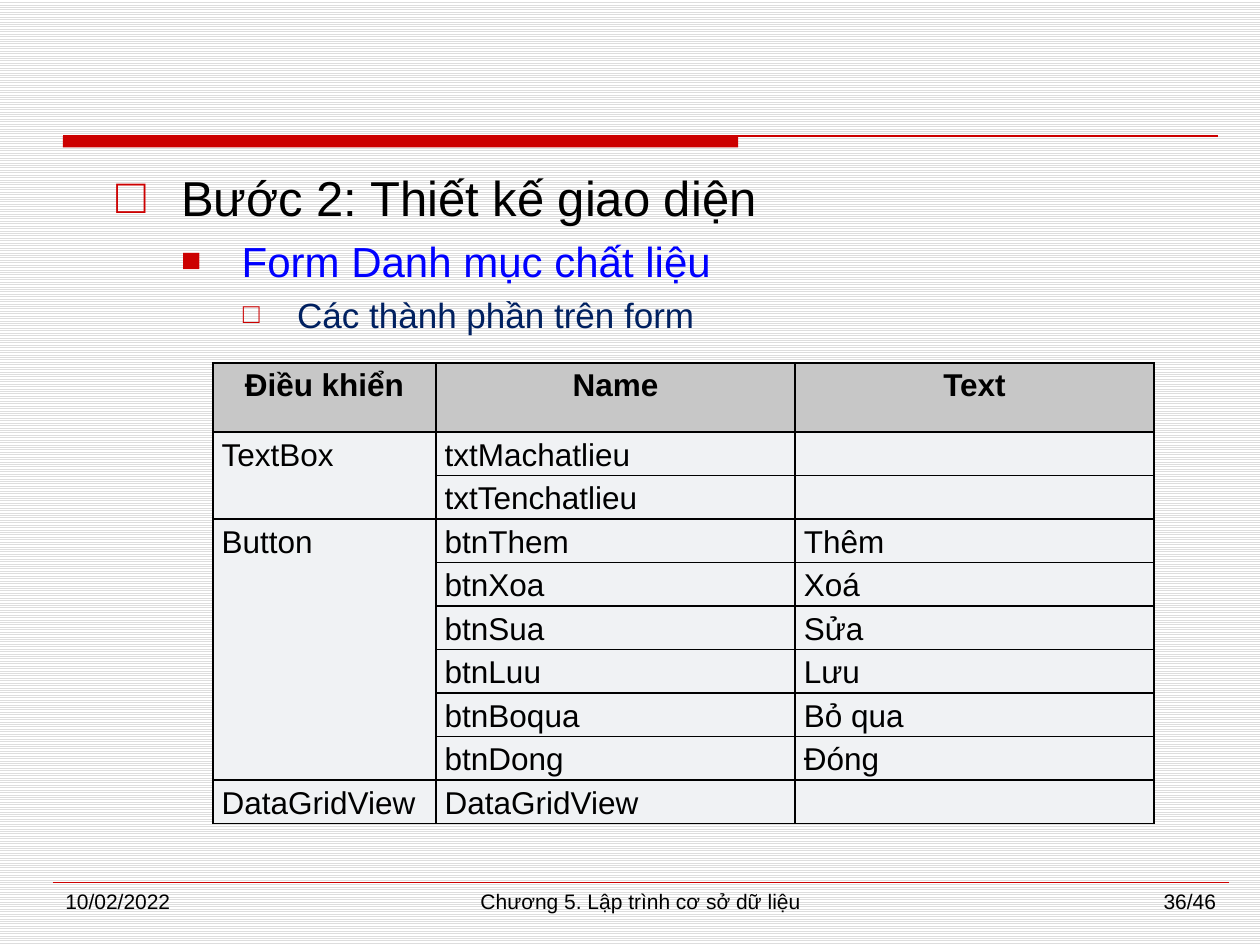
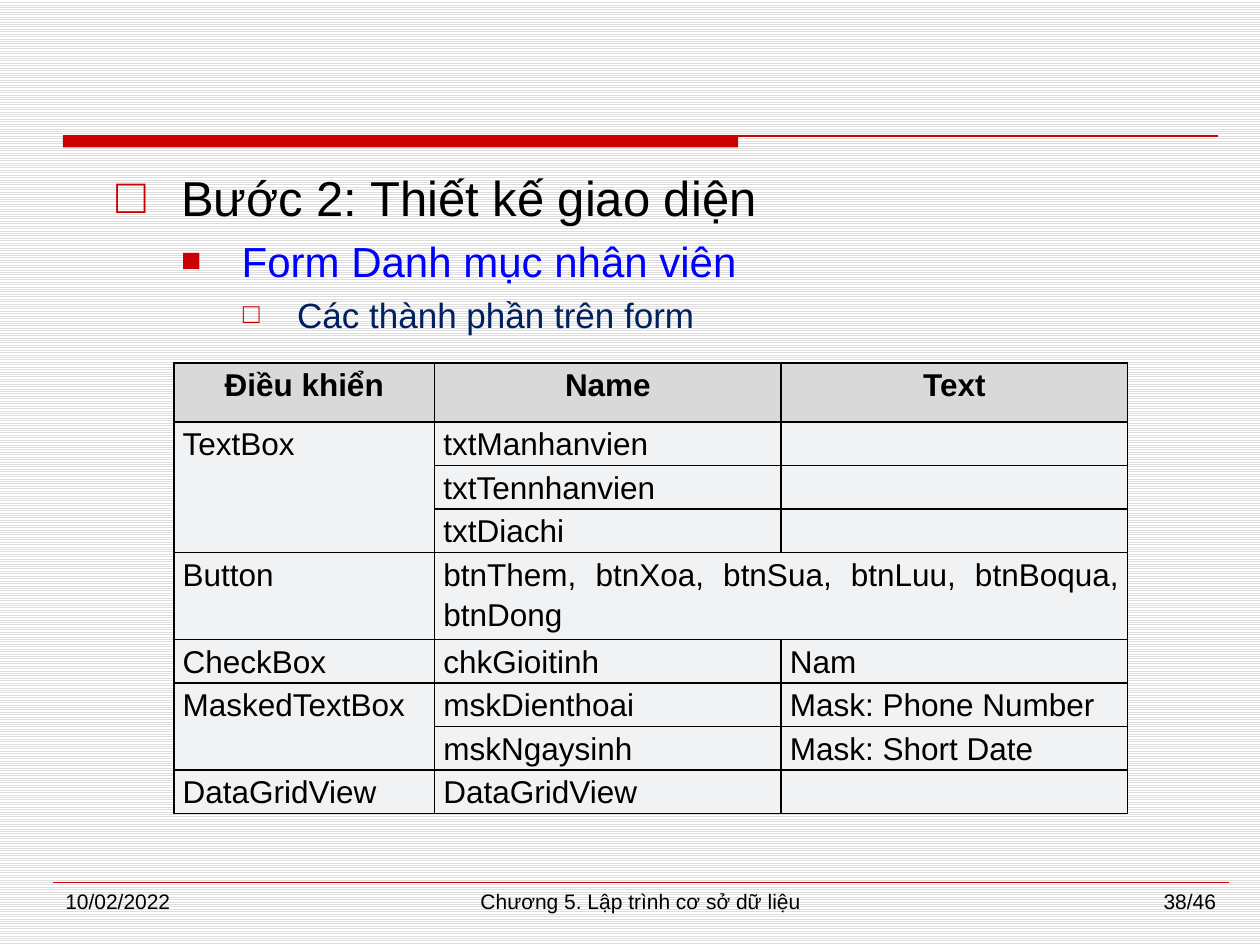
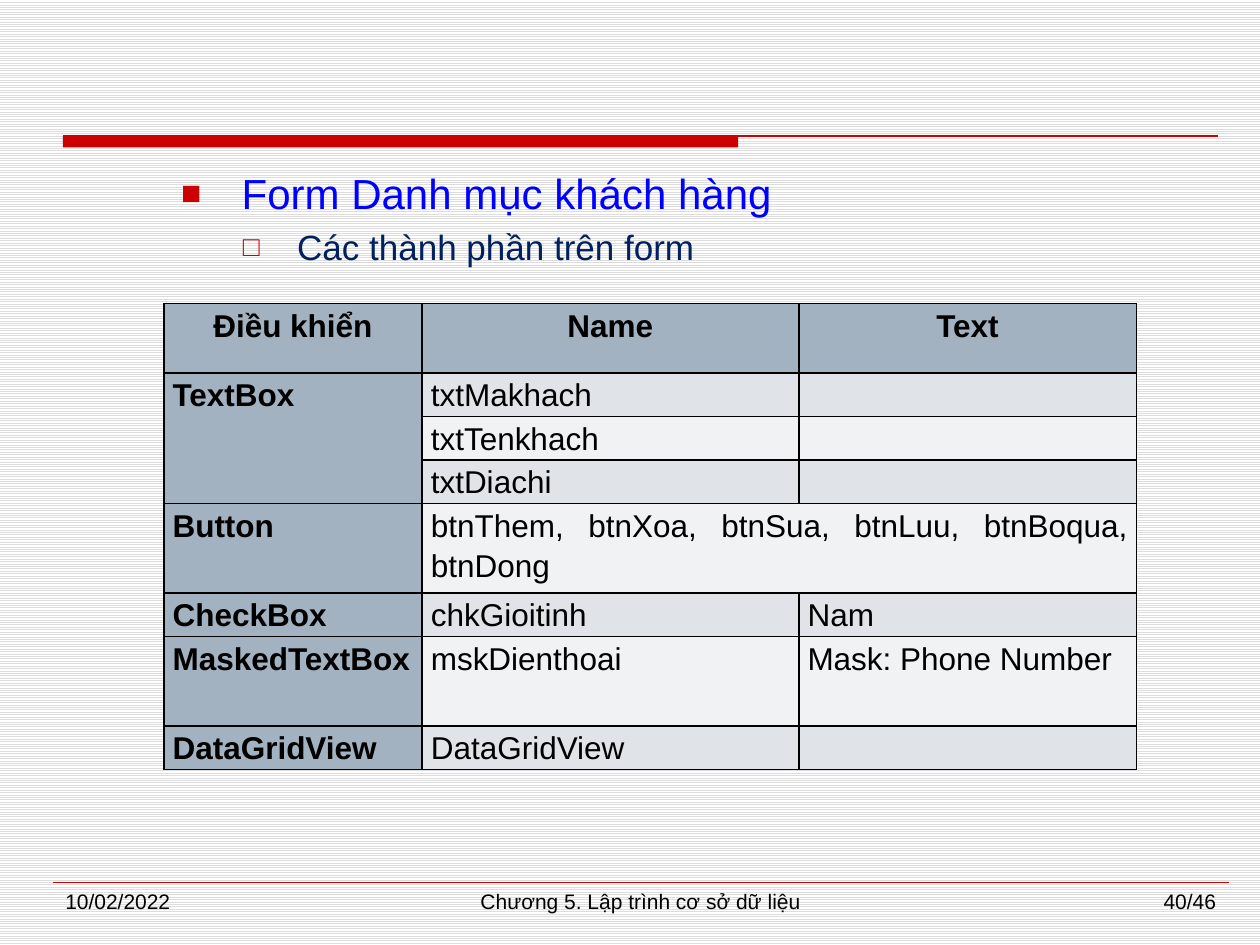
from lxml.etree import SubElement
from pptx import Presentation
from pptx.dml.color import RGBColor
from pptx.enum.dml import MSO_PATTERN
from pptx.enum.shapes import MSO_CONNECTOR, MSO_SHAPE
from pptx.enum.text import PP_ALIGN
from pptx.oxml.ns import qn
from pptx.util import Inches, Pt

# Shared look
FONT = "Arial"
RED, BLACK, BLUE, NAVY = "CC0000", "000000", "0000FF", "002060"
PALE, BAND = "F0F2F4", "E0E4E9"
DATE = "10/02/2022"
CHAPTER = "Chương 5. Lập trình cơ sở dữ liệu"
PAGE_COUNT = 46

# Outline levels: bullet, bullet size %, left indent, hanging, size, colour, space before
LEVELS = [
    ("□", 100, 0.51, 0.51, 28, BLACK, 5.5),
    ("■", 80, 0.99, 0.48, 24, BLUE, 5),
    ("□", 80, 1.43, 0.43, 20, NAVY, 4.5),
]

# Table content: None continues the cell above, a short row spans to the right edge
HEADER = ("Điều khiển", "Name", "Text")
ALL_BUTTONS = ("Button", "btnThem, btnXoa, btnSua, btnLuu, btnBoqua, btnDong")
GRID_VIEW = ("DataGridView", "DataGridView", "")
MATERIAL_ROWS = [
    HEADER,
    ("TextBox", "txtMachatlieu", ""),
    (None, "txtTenchatlieu", ""),
    ("Button", "btnThem", "Thêm"),
    (None, "btnXoa", "Xoá"),
    (None, "btnSua", "Sửa"),
    (None, "btnLuu", "Lưu"),
    (None, "btnBoqua", "Bỏ qua"),
    (None, "btnDong", "Đóng"),
    GRID_VIEW,
]
EMPLOYEE_ROWS = [
    HEADER,
    ("TextBox", "txtManhanvien", ""),
    (None, "txtTennhanvien", ""),
    (None, "txtDiachi", ""),
    ALL_BUTTONS,
    ("CheckBox", "chkGioitinh", "Nam"),
    ("MaskedTextBox", "mskDienthoai", "Mask: Phone Number"),
    (None, "mskNgaysinh", "Mask: Short Date"),
    GRID_VIEW,
]
CUSTOMER_ROWS = [
    HEADER,
    ("TextBox", "txtMakhach", ""),
    (None, "txtTenkhach", ""),
    (None, "txtDiachi", ""),
    ALL_BUTTONS,
    ("CheckBox", "chkGioitinh", "Nam"),
    ("MaskedTextBox", "mskDienthoai", "Mask: Phone Number"),
    GRID_VIEW,
]


def color(hex_string):
    return RGBColor.from_string(hex_string)


def write(paragraph, text, size=18, hex_color=BLACK, bold=False,
          align=PP_ALIGN.LEFT, before=None, after=None, spacing=None):
    paragraph.alignment = align
    paragraph.space_before = before and Pt(before)
    paragraph.space_after = after and Pt(after)
    paragraph.line_spacing = spacing
    if text:
        run = paragraph.add_run()
        run.text = text
        font = run.font
        font.name, font.size, font.bold = FONT, Pt(size), bold
        font.color.rgb = color(hex_color)


def add_text_box(slide, left, top, width, height):
    box = slide.shapes.add_textbox(Inches(left), Inches(top), Inches(width), Inches(height))
    box.text_frame.word_wrap = True
    return box.text_frame


def add_rule(slide, left, right, y, weight):
    line = slide.shapes.add_connector(
        MSO_CONNECTOR.STRAIGHT, Inches(left), Inches(y), Inches(right), Inches(y))
    line.line.color.rgb = color(RED)
    line.line.width = Pt(weight)
    SubElement(line._element.spPr, qn("a:effectLst"))


def add_frame(slide, page):
    """Background, title band and footer."""
    background = slide.background.fill
    background.patterned()
    background.pattern = MSO_PATTERN.LIGHT_HORIZONTAL
    background.fore_color.rgb = color("DDDDDD")
    background.back_color.rgb = color("FFFFFF")

    band = slide.shapes.add_shape(
        MSO_SHAPE.RECTANGLE, Inches(0.5), Inches(1.08), Inches(5.36), Inches(0.09))
    band.shadow.inherit = False
    band.fill.solid()
    band.fill.fore_color.rgb = color(RED)
    band.line.fill.background()
    add_rule(slide, 0.5, 9.67, 1.08, 1.5)
    add_rule(slide, 0.42, 9.75, 7, 0.25)

    for left, width, text, align in (
            (0.42, 2.17, DATE, PP_ALIGN.LEFT),
            (2.92, 4.33, CHAPTER, PP_ALIGN.CENTER),
            (7.58, 2.17, f"{page}/{PAGE_COUNT}", PP_ALIGN.RIGHT)):
        frame = add_text_box(slide, left, 7, width, 0.35)
        write(frame.paragraphs[0], text, size=12, align=align)


def set_bullet(paragraph, character, percent, indent, hanging):
    properties = paragraph._p.get_or_add_pPr()
    properties.set("marL", str(Inches(indent)))
    properties.set("indent", str(-Inches(hanging)))
    bullet_color = SubElement(properties, qn("a:buClr"))
    SubElement(bullet_color, qn("a:srgbClr"), val=RED)
    SubElement(properties, qn("a:buSzPct"), val=str(percent * 1000))
    SubElement(properties, qn("a:buFont"), typeface=FONT)
    SubElement(properties, qn("a:buChar"), char=character)


def add_outline(slide, items):
    """Bulleted lines, given as (level, text)."""
    frame = add_text_box(slide, 0.83, 1.25, 8.67, 5.67)
    frame.margin_top = Inches(0.08)
    for index, (level, text) in enumerate(items):
        paragraph = frame.add_paragraph() if index else frame.paragraphs[0]
        character, percent, indent, hanging, size, hex_color, before = LEVELS[level]
        paragraph.level = level
        set_bullet(paragraph, character, percent, indent, hanging)
        write(paragraph, text, size=size, hex_color=hex_color,
              align=PP_ALIGN.JUSTIFY, before=before if index else None)


def style_cell(cell, fill):
    cell.margin_left = cell.margin_right = Inches(0.07)
    cell.margin_top = cell.margin_bottom = 0
    properties = cell._tc.get_or_add_tcPr()
    for side in ("lnL", "lnR", "lnT", "lnB"):
        border = SubElement(properties, qn(f"a:{side}"), w=str(Pt(1)))
        border_fill = SubElement(border, qn("a:solidFill"))
        SubElement(border_fill, qn("a:srgbClr"), val=BLACK)
    cell.fill.solid()
    cell.fill.fore_color.rgb = color(fill)


def merge_cells(table, rows):
    last_column = len(HEADER) - 1
    start = 0
    for index, row in enumerate(rows):
        if row[0] is not None:
            start = index
        elif index + 1 == len(rows) or rows[index + 1][0] is not None:
            table.cell(start, 0).merge(table.cell(index, 0))
        if len(row) <= last_column:
            table.cell(index, len(row) - 1).merge(table.cell(index, last_column))


def add_control_table(slide, rows, left, top, widths, heights, header_fill,
                      after=6, banded=False):
    """Controls of a form; a banded table also emphasises its first column."""
    frame = slide.shapes.add_table(
        len(rows), len(widths), Inches(left), Inches(top),
        Inches(sum(widths)), Inches(sum(heights)))
    table = frame.table
    table.first_row = table.horz_banding = False
    for column, width in zip(table.columns, widths):
        column.width = Inches(width)
    for table_row, height in zip(table.rows, heights):
        table_row.height = Inches(height)

    for row_index, row in enumerate(rows):
        for column_index in range(len(widths)):
            heading = row_index == 0 or (banded and column_index == 0)
            body_fill = BAND if banded and row_index % 2 else PALE
            cell = table.cell(row_index, column_index)
            style_cell(cell, header_fill if heading else body_fill)
            text = row[column_index] if column_index < len(row) else ""
            write(cell.text_frame.paragraphs[0], text, bold=heading,
                  align=PP_ALIGN.JUSTIFY if row_index else PP_ALIGN.CENTER,
                  after=after, spacing=1.15)
    merge_cells(table, rows)


def add_form_slide(presentation, page, form_name, step=None):
    slide = presentation.slides.add_slide(presentation.slide_layouts[6])
    add_frame(slide, page)
    items = [(1, f"Form Danh mục {form_name}"), (2, "Các thành phần trên form")]
    add_outline(slide, [(0, step)] + items if step else items)
    return slide


def main():
    presentation = Presentation()
    presentation.slide_width = Inches(10)
    presentation.slide_height = Inches(7.5)
    step = "Bước 2: Thiết kế giao diện"

    # Materials form
    slide = add_form_slide(presentation, 36, "chất liệu", step)
    add_control_table(slide, MATERIAL_ROWS, 1.69, 2.88, [1.77, 2.85, 2.85],
                      [0.55] + [0.3] * 9, "C7C7C7")

    # Employees form
    slide = add_form_slide(presentation, 38, "nhân viên", step)
    add_control_table(slide, EMPLOYEE_ROWS, 1.38, 2.88, [2.07, 2.75, 2.75],
                      [0.47] + [0.3] * 3 + [0.63] + [0.3] * 4, "D9D9D9", after=3)

    # Customers form
    slide = add_form_slide(presentation, 40, "khách hàng")
    add_control_table(slide, CUSTOMER_ROWS, 1.3, 2.41, [2.05, 2.99, 2.68],
                      [0.55] + [0.34] * 3 + [0.71, 0.34, 0.71, 0.34], "A3B2C1",
                      banded=True)

    presentation.save("out.pptx")


if __name__ == "__main__":
    main()
